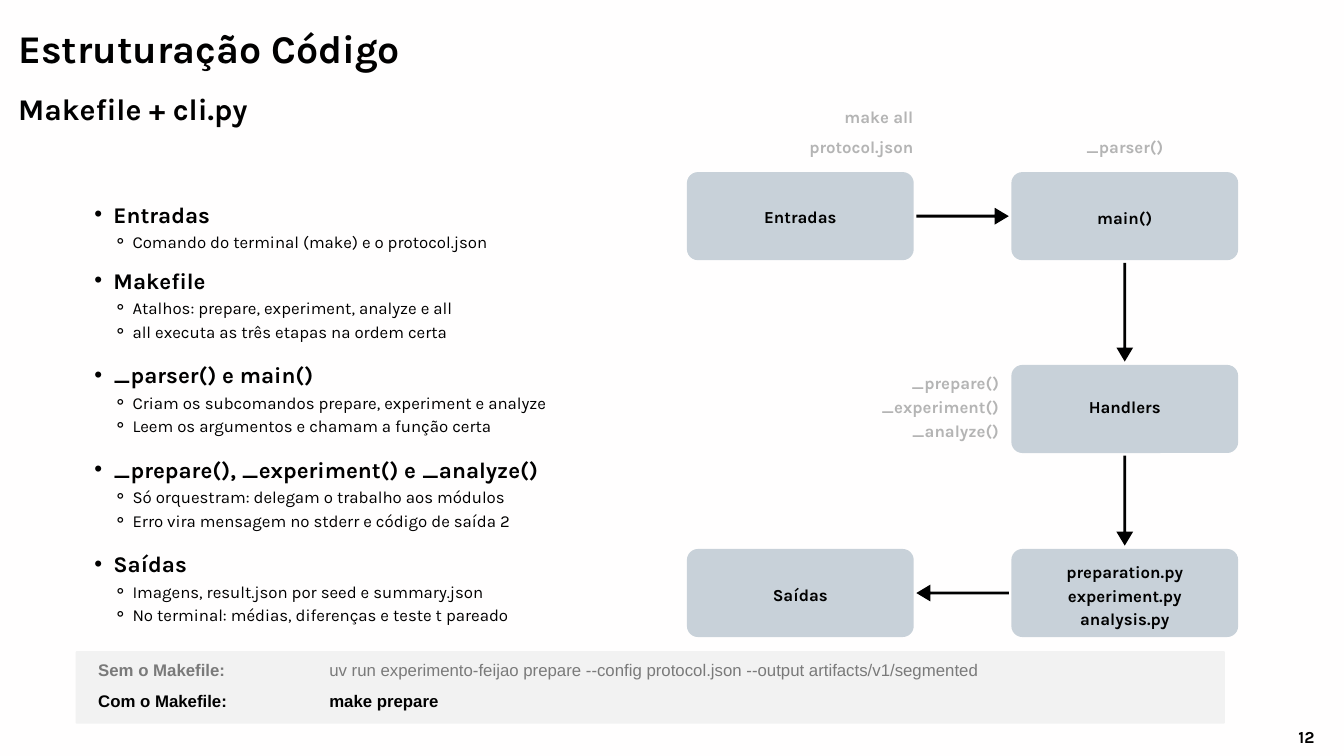
import pptx
import pptx.util
import pptx.dml.color
import pptx.enum.shapes
import pptx.enum.text
import pptx.oxml.ns
from dataclasses import dataclass
from lxml import etree

Pt = pptx.util.Pt
ALIGN = pptx.enum.text.PP_ALIGN
SHAPE = pptx.enum.shapes.MSO_SHAPE
qn = pptx.oxml.ns.qn


@dataclass(frozen=True)
class Theme:
    font: str = "Karla"
    command_font: str = "Arial"
    paper: str = "FFFEFE"
    ink: str = "000000"
    box: str = "C8D1D9"
    hint: str = "B4B4B4"
    panel: str = "F2F2F2"
    muted: str = "7A7A7A"
    title: float = 42
    subtitle: float = 32.2
    heading: float = 24
    body: float = 18


theme = Theme()
rgb = pptx.dml.color.RGBColor.from_string


def write(frame, lines, size=theme.body, color=theme.ink, bold=True,
          align=ALIGN.LEFT, font=theme.font, gap=0):
    """Fill a text frame with one paragraph per line; line height is 1.4 em."""
    frame.word_wrap = True
    frame.margin_left = frame.margin_top = frame.margin_right = frame.margin_bottom = 0
    frame.text = "\n".join(lines)
    for index, paragraph in enumerate(frame.paragraphs):
        paragraph.alignment = align
        paragraph.line_spacing = Pt(round(size * 1.4, 1))
        if index and gap:
            paragraph.space_before = Pt(gap)
        for run in paragraph.runs:
            run.font.name, run.font.size, run.font.bold = font, Pt(size), bold
            run.font.color.rgb = rgb(color)


def draw(kind, left, top, width, height, color, adjustments):
    """Add a flat preset shape without outline or shadow."""
    block = slide.shapes.add_shape(kind, Pt(left), Pt(top), Pt(width), Pt(height))
    for index, value in enumerate(adjustments):
        block.adjustments[index] = value
    block.shadow.inherit = False
    block.fill.solid()
    block.fill.fore_color.rgb = rgb(color)
    block.line.fill.background()
    return block


deck = pptx.Presentation()
deck.slide_width, deck.slide_height = Pt(1440), Pt(810)
slide = deck.slides.add_slide(deck.slide_layouts[6])
slide.background.fill.solid()
slide.background.fill.fore_color.rgb = rgb(theme.paper)

# Flow boxes on a grid of two columns and three rows
box_width, box_height, clearance = 243, 94.4, 2.8
left_column, right_column = 736, 1083.6
rows = [184.4, 391, 588.2]
steps = [
    (left_column, rows[0], ["Entradas"], 1.4),
    (right_column, rows[0], ["main()"], 0),
    (right_column, rows[1], ["Handlers"], 8.4),
    (right_column, rows[2], ["preparation.py", "experiment.py", "analysis.py"], -1.4),
    (left_column, rows[2], ["Saídas"], 0),
]
for left, top, lines, lift in steps:
    step = draw(SHAPE.ROUNDED_RECTANGLE, left, top, box_width, box_height,
                theme.box, [0.125])
    write(step.text_frame, lines, align=ALIGN.CENTER)
    step.text_frame.vertical_anchor = pptx.enum.text.MSO_ANCHOR.MIDDLE
    step.text_frame.margin_bottom = Pt(lift)

# Block arrows between the boxes
head_width, head_length, shaft = 18, 15, 3
proportions = [shaft / head_width, head_length / head_width]
across_left = left_column + box_width + clearance
across_length = right_column - clearance - across_left
row_offset = (box_height - head_width) / 2
down_left = right_column + (box_width - head_width) / 2
arrows = [(SHAPE.RIGHT_ARROW, across_left, rows[0] + row_offset,
           across_length, head_width)]
for upper, lower in zip(rows, rows[1:]):
    down_top = upper + box_height + clearance
    arrows.append((SHAPE.DOWN_ARROW, down_left, down_top,
                   head_width, lower - 3.6 - down_top))
arrows.append((SHAPE.LEFT_ARROW, across_left, rows[2] + row_offset,
               across_length, head_width))
for kind, left, top, width, height in arrows:
    draw(kind, left, top, width, height, theme.ink, proportions)

# Command panel
draw(SHAPE.ROUNDED_RECTANGLE, 81, 697.6, 1231.4, 77.8, theme.panel, [0.02])

# Titles, hints beside the boxes, command rows and page number
muted_command = dict(color=theme.muted, font=theme.command_font)
command = dict(font=theme.command_font)
hint = dict(color=theme.hint)
texts = [
    (19.4, 18, 810, 56, ["Estruturação Código"], dict(size=theme.title)),
    (19.4, 90.7, 675, 44, ["Makefile + cli.py"], dict(size=theme.subtitle)),
    (708.6, 110.9, 270, 56, ["make all", "protocol.json"],
     dict(hint, align=ALIGN.RIGHT, gap=6.5)),
    (right_column, 142.6, box_width, 24, ["_parser()"], dict(hint, align=ALIGN.CENTER)),
    (770.4, 395.4, 300, 76, ["_prepare()", "_experiment()", "_analyze()"],
     dict(hint, align=ALIGN.RIGHT, gap=0.7)),
    (105.2, 703.4, 240, 26, ["Sem o Makefile:"], muted_command),
    (352.8, 703.4, 944.6, 26,
     ["uv run experimento-feijao prepare --config protocol.json"
      " --output artifacts/v1/segmented"], dict(muted_command, bold=False)),
    (105.2, 736.6, 240, 26, ["Com o Makefile:"], command),
    (352.8, 736.6, 944.6, 26, ["make prepare"], command),
    (1359.4, 774.7, 80.6, 24, ["12"], dict(align=ALIGN.CENTER)),
]
for left, top, width, height, lines, style in texts:
    label = slide.shapes.add_textbox(Pt(left), Pt(top), Pt(width), Pt(height))
    write(label.text_frame, lines, **style)

# Outline of the code: headings with their points
outline = [
    ("Entradas", ["Comando do terminal (make) e o protocol.json"]),
    ("Makefile", ["Atalhos: prepare, experiment, analyze e all",
                  "all executa as três etapas na ordem certa"]),
    ("_parser() e main()", ["Criam os subcomandos prepare, experiment e analyze",
                            "Leem os argumentos e chamam a função certa"]),
    ("_prepare(), _experiment() e _analyze()",
     ["Só orquestram: delegam o trabalho aos módulos",
      "Erro vira mensagem no stderr e código de saída 2"]),
    ("Saídas", ["Imagens, result.json por seed e summary.json",
                "No terminal: médias, diferenças e teste t pareado"]),
]
heading_gaps = [0, 11, 16.4, 16.4, 16.4]
entries = []
for (heading, points), gap in zip(outline, heading_gaps):
    entries.append((heading, 1, "•", theme.heading, gap))
    for index, point in enumerate(points):
        entries.append((point, 2, "⚬", theme.body, 0 if index else 0.9))

indent = 20.4
listing = slide.shapes.add_textbox(Pt(80.8), Pt(210.2), Pt(639.4), Pt(458)).text_frame
write(listing, [entry[0] for entry in entries])
for paragraph, (_, level, bullet, size, gap) in zip(listing.paragraphs, entries):
    paragraph.level = level
    paragraph.line_spacing = Pt(size * 1.4)
    if gap:
        paragraph.space_before = Pt(gap)
    properties = paragraph._p.get_or_add_pPr()
    properties.set("marL", str(Pt(indent * (level + 1))))
    properties.set("indent", str(-Pt(indent)))
    etree.SubElement(properties, qn("a:buFont"), typeface=theme.command_font)
    etree.SubElement(properties, qn("a:buChar"), char=bullet)
    for run in paragraph.runs:
        run.font.size, run.font.bold = Pt(size), level == 1

deck.save("out.pptx")
